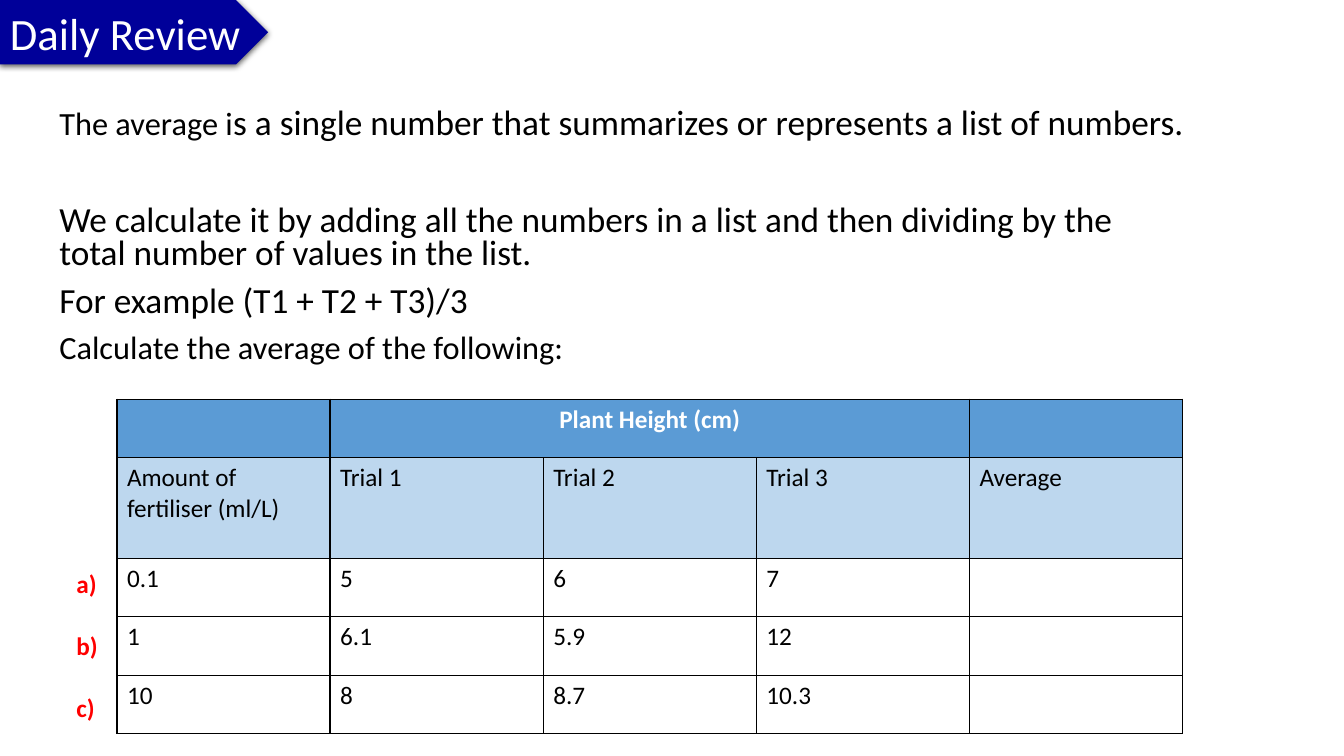
from lxml import etree
from pptx import Presentation
from pptx.dml.color import RGBColor
from pptx.enum import shapes, text
from pptx.oxml import parse_xml
from pptx.oxml.ns import nsdecls, qn
from pptx.util import Inches, Pt

COLOURS = {
    "navy": "000099", "white": "FFFFFF", "black": "000000", "red": "FF0000",
    "header": "5B9BD5", "subheader": "BDD7EE",
}


def style(font, size, colour, bold=False):
    font.name = "Calibri"
    font.size = Pt(size)
    font.bold = bold
    font.color.rgb = RGBColor.from_string(COLOURS[colour])


def paint_cell(cell, colour):
    """Fill a table cell and give it thin black borders."""
    props = cell._tc.get_or_add_tcPr()
    for side in ("lnL", "lnR", "lnT", "lnB"):
        border = etree.SubElement(props, qn(f"a:{side}"), w=str(Pt(1)))
        fill = etree.SubElement(border, qn("a:solidFill"))
        etree.SubElement(fill, qn("a:srgbClr"), val=COLOURS["black"])
    cell.fill.solid()
    cell.fill.fore_color.rgb = RGBColor.from_string(COLOURS[colour])


prs = Presentation()
prs.slide_width, prs.slide_height = Inches(13.33), Inches(7.5)
slide = prs.slides.add_slide(prs.slide_layouts[6])

# Title banner
banner = slide.shapes.add_shape(
    shapes.MSO_SHAPE.PENTAGON, 0, 0, Inches(2.66), Inches(0.64))
banner.fill.solid()
banner.fill.fore_color.rgb = RGBColor.from_string(COLOURS["navy"])
banner.line.fill.background()
banner._element.spPr.append(parse_xml(
    f'<a:effectLst {nsdecls("a")}>'
    f'<a:outerShdw blurRad="{Pt(4.5)}" dist="{Pt(1.5)}" dir="5400000" rotWithShape="0">'
    f'<a:srgbClr val="{COLOURS["black"]}"><a:alpha val="63000"/></a:srgbClr>'
    '</a:outerShdw></a:effectLst>'))
banner.text_frame.text = "Daily Review"
banner.text_frame.word_wrap = False
banner.text_frame.vertical_anchor = text.MSO_ANCHOR.MIDDLE
title = banner.text_frame.paragraphs[0]
title.alignment = text.PP_ALIGN.LEFT
style(title.runs[0].font, 32, "white")

# Explanation: space before, then runs with their sizes
explanation = [
    (0, [("The average i", 23.1),
         ("s a single number that summarizes or represents a list of numbers.", 25.2)]),
    (44.5, [("We calculate it by adding all the numbers in a list and then "
             "dividing by the total number of values in the list.", 25.2)]),
    (10, [("For example (T1 + T2 + T3)/3", 25.2)]),
    (10, [("Calculate the average of the following:", 23.1)]),
]
body = slide.shapes.add_textbox(
    Inches(0.49), Inches(1.03), Inches(11.37), Inches(2.72)).text_frame
body.word_wrap = True
for i, (space, runs) in enumerate(explanation):
    paragraph = body.paragraphs[0] if i == 0 else body.add_paragraph()
    paragraph.line_spacing = 0.8
    paragraph.space_before = Pt(space)
    for words, size in runs:
        run = paragraph.add_run()
        run.text = words
        style(run.font, size, "black")

# Results table
results = [
    ["", "Plant Height (cm)", "", "", ""],
    ["Amount of fertiliser (ml/L)", "Trial 1", "Trial 2", "Trial 3", "Average"],
    ["0.1", "5", "6", "7", ""],
    ["1", "6.1", "5.9", "12", ""],
    ["10", "8", "8.7", "10.3", ""],
]
row_fills = ["header", "subheader", "white", "white", "white"]
table = slide.shapes.add_table(
    5, 5, Inches(1.16), Inches(3.96), Inches(10.57), Inches(3.33)).table
for r, values in enumerate(results):
    table.rows[r].height = Inches(1 if r == 1 else 0.58)
    for c, value in enumerate(values):
        cell = table.cell(r, c)
        cell.text = value
        paint_cell(cell, row_fills[r])
        style(cell.text_frame.paragraphs[0].font, 18,
              "white" if r == 0 else "black", bold=r == 0)
table.cell(0, 1).merge(table.cell(0, 3))
table.cell(0, 1).text_frame.paragraphs[0].alignment = text.PP_ALIGN.CENTER

# Question letters beside the data rows
for i, letter in enumerate(["a)", "b)", "c)"]):
    label = slide.shapes.add_textbox(
        Inches(0.66), Inches(5.59 + 0.615 * i), Inches(0.67), Inches(0.4)).text_frame
    label.word_wrap = True
    label.text = letter
    style(label.paragraphs[0].runs[0].font, 18, "red", bold=True)

prs.save("out.pptx")
